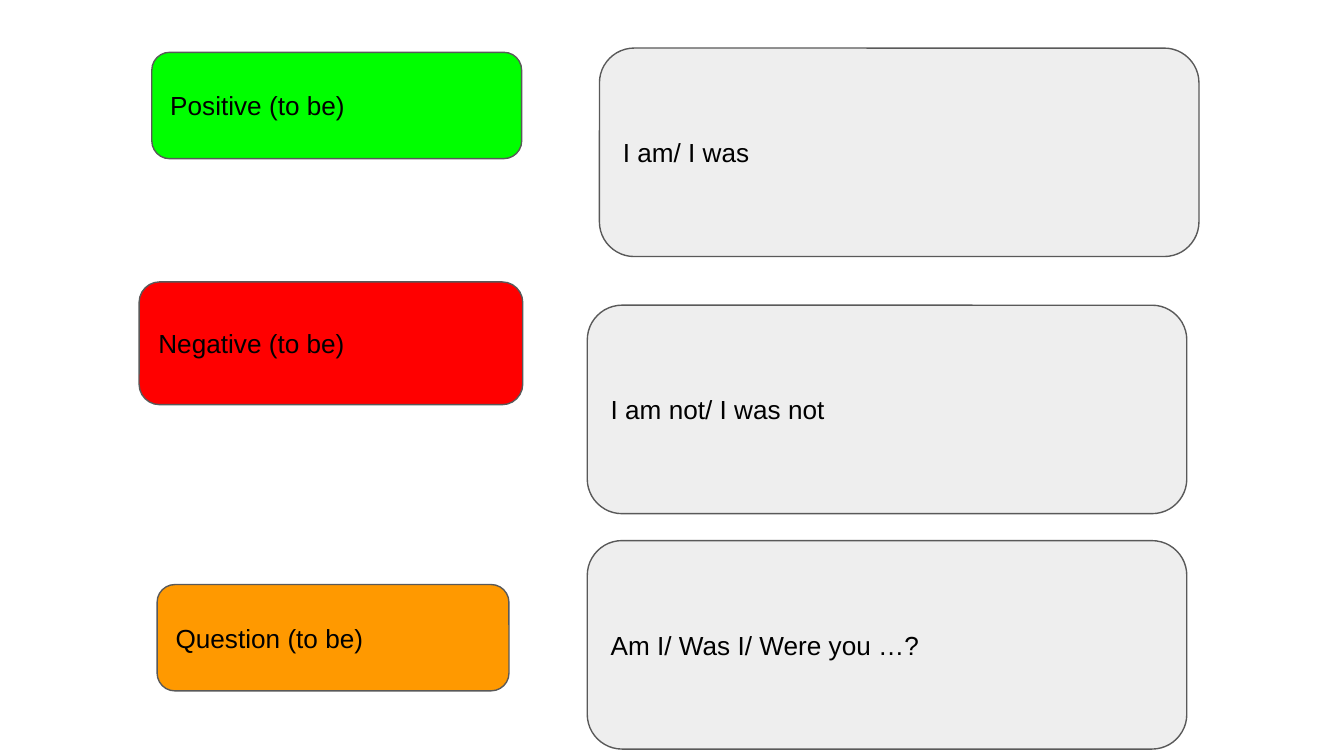
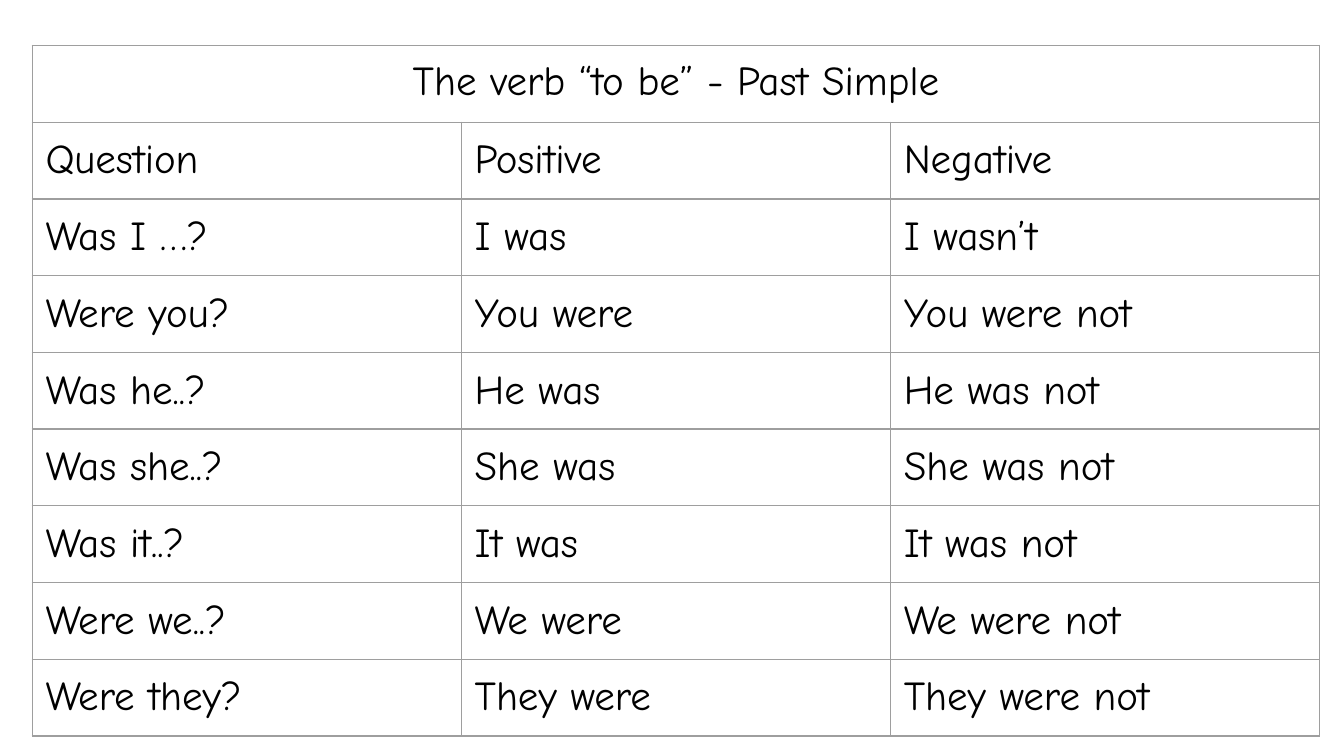
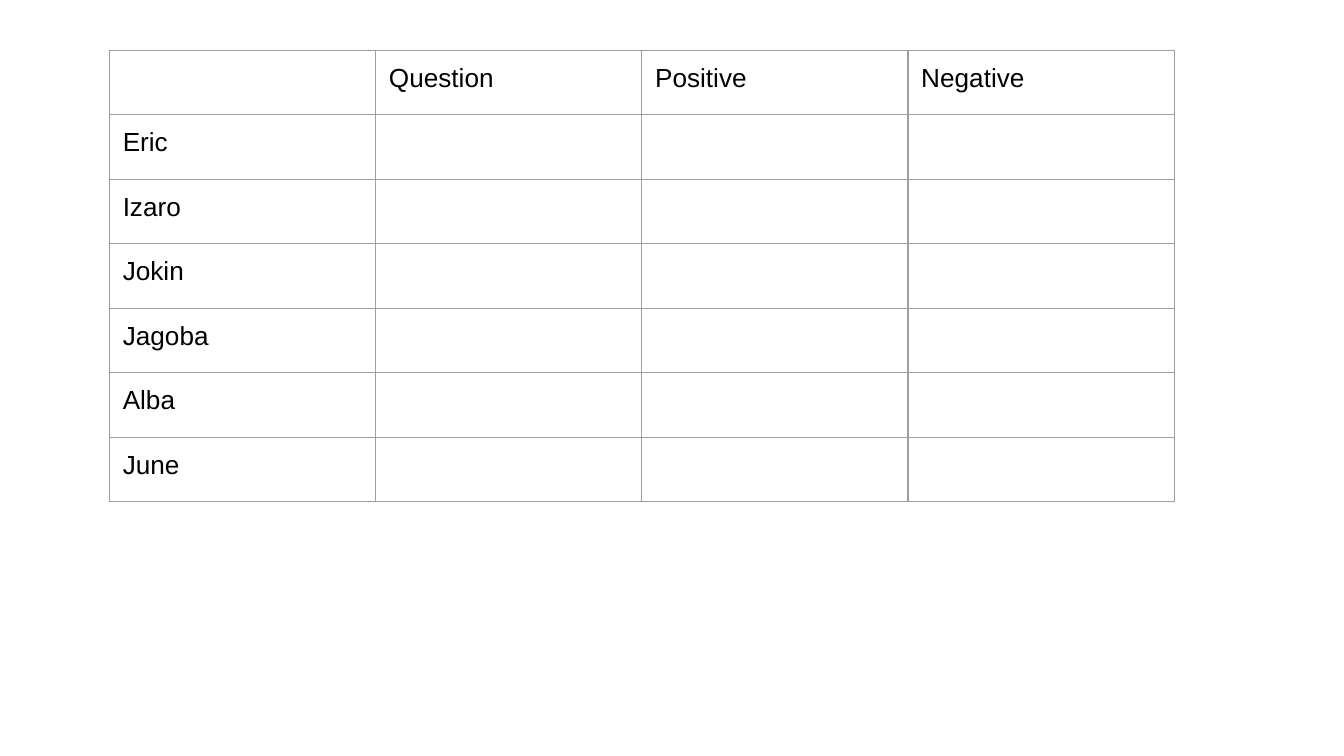
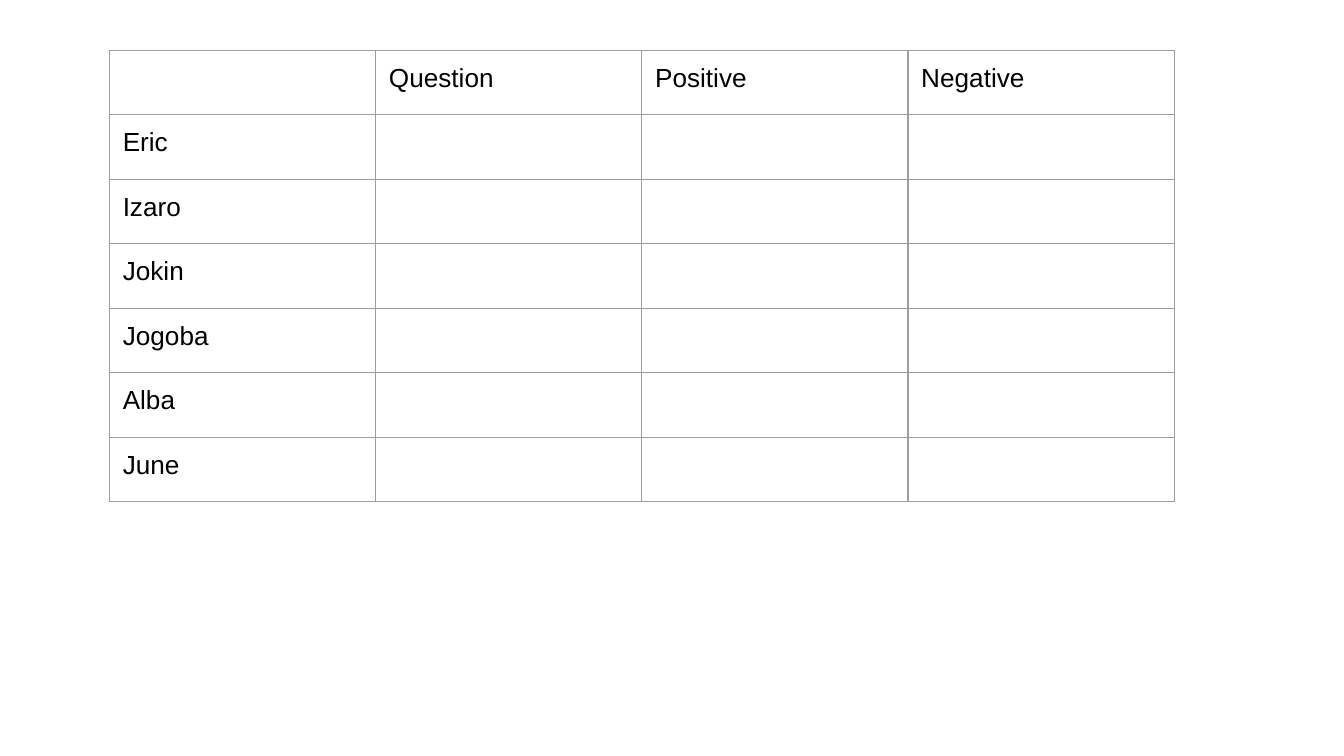
from lxml import etree
from pptx import Presentation
from pptx import util as u
from pptx.dml.color import RGBColor
from pptx.enum import shapes, text
from pptx.oxml.ns import qn

# Content: form name, its box, fill; examples and their box (cm: left, top, width, height)
VERB_FORMS = [
    ("Positive (to be)", (2.87, 0.99, 6.99, 2.01), "green",
     "I am/ I was", (11.33, 0.91)),
    ("Negative (to be)", (2.63, 5.33, 7.25, 2.32), "red",
     "I am not/ I was not", (11.1, 5.77)),
    ("Question (to be)", (2.97, 11.05, 6.65, 2.01), "orange",
     "Am I/ Was I/ Were you …?", (11.1, 10.22)),
]
EXAMPLE_SIZE = (11.33, 3.94)

PAST_SIMPLE = [
    ("The verb “to be” - Past Simple", "", ""),
    ("Question", "Positive", "Negative"),
    ("Was I …?", "I was", "I wasn’t"),
    ("Were you?", "You were", "You were not"),
    ("Was he..?", "He was", "He was not"),
    ("Was she..?", "She was", "She was not"),
    ("Was it..?", "It was", "It was not"),
    ("Were we..?", "We were", "We were not"),
    ("Were they?", "They were", "They were not"),
]

WORKSHEET_HEADER = ("", "Question", "Positive", "Negative")
WORKSHEET_NAMES = [
    ("Eric", "Izaro", "Jokin", "Jagoba", "Alba", "June"),
    ("Eric", "Izaro", "Jokin", "Jogoba", "Alba", "June"),
]

# Shared formats
COLORS = {"green": "00FF00", "red": "FF0000", "orange": "FF9900", "grey": "EEEEEE",
          "outline": "595959", "grid": "9E9E9E", "text": "000000"}
BODY_FONT = {"name": "Arial", "size": u.Pt(14)}
TABLE_FONT = {"name": "Comic Neue", "size": u.Pt(22)}
LINE_WIDTH = u.Pt(0.75)
MARGINS = {f"margin_{side}": u.Cm(0.25) for side in ("left", "right", "top", "bottom")}
PAST_SIMPLE_GRID = {"left": 0.61, "top": 0.86, "column": 8.11, "row": 1.45}
WORKSHEET_GRID = {"left": 2.07, "top": 0.95, "column": 5.03, "row": 1.22}


def apply_format(target, values):
    for name, value in values.items():
        setattr(target, name, value)


def color(name):
    return RGBColor.from_string(COLORS[name])


def write_text(paragraph, words, font):
    run = paragraph.add_run()
    run.text = words
    apply_format(run.font, font)
    run.font.color.rgb = color("text")


def add_box(slide, words, box, fill):
    shape = slide.shapes.add_shape(shapes.MSO_SHAPE.ROUNDED_RECTANGLE, *map(u.Cm, box))
    shape.shadow.inherit = False
    shape.fill.solid()
    shape.fill.fore_color.rgb = color(fill)
    shape.line.color.rgb = color("outline")
    shape.line.width = LINE_WIDTH
    apply_format(shape.text_frame, MARGINS | {
        "word_wrap": True, "vertical_anchor": text.MSO_ANCHOR.MIDDLE})
    paragraph = shape.text_frame.paragraphs[0]
    paragraph.alignment = text.PP_ALIGN.LEFT
    write_text(paragraph, words, BODY_FONT)


def add_borders(cell):
    properties = cell._tc.get_or_add_tcPr()
    for side in ("lnL", "lnR", "lnT", "lnB"):
        line = etree.SubElement(properties, qn(f"a:{side}"), w=str(LINE_WIDTH))
        fill = etree.SubElement(line, qn("a:solidFill"))
        etree.SubElement(fill, qn("a:srgbClr"), val=COLORS["grid"])


def add_grid(slide, rows, grid, font, anchor):
    row_count, column_count = len(rows), len(rows[0])
    frame = slide.shapes.add_table(
        row_count, column_count, u.Cm(grid["left"]), u.Cm(grid["top"]),
        u.Cm(grid["column"] * column_count), u.Cm(grid["row"] * row_count))
    table = frame.table
    apply_format(table, {"first_row": False, "horz_banding": False})
    for row_index, row in enumerate(rows):
        for column_index, words in enumerate(row):
            cell = table.cell(row_index, column_index)
            add_borders(cell)
            cell.fill.background()
            if words:
                apply_format(cell, MARGINS | {"vertical_anchor": anchor})
                write_text(cell.text_frame.paragraphs[0], words, font)
    return table


def main():
    presentation = Presentation()
    presentation.slide_width, presentation.slide_height = u.Cm(25.4), u.Cm(14.29)
    blank = presentation.slide_layouts[6]

    # Verb forms with examples
    slide = presentation.slides.add_slide(blank)
    for form, form_box, fill, examples, position in VERB_FORMS:
        add_box(slide, form, form_box, fill)
        add_box(slide, examples, position + EXAMPLE_SIZE, "grey")

    # Past simple table with a heading across all columns
    slide = presentation.slides.add_slide(blank)
    table = add_grid(slide, PAST_SIMPLE, PAST_SIMPLE_GRID, TABLE_FONT,
                     text.MSO_ANCHOR.MIDDLE)
    heading = table.cell(0, 0)
    heading.merge(table.cell(0, 2))
    heading.vertical_anchor = text.MSO_ANCHOR.TOP
    heading.text_frame.paragraphs[0].alignment = text.PP_ALIGN.CENTER

    # Worksheets to fill in
    for names in WORKSHEET_NAMES:
        slide = presentation.slides.add_slide(blank)
        rows = [WORKSHEET_HEADER] + [(name, "", "", "") for name in names]
        add_grid(slide, rows, WORKSHEET_GRID, BODY_FONT, text.MSO_ANCHOR.TOP)

    presentation.save("out.pptx")


if __name__ == "__main__":
    main()
